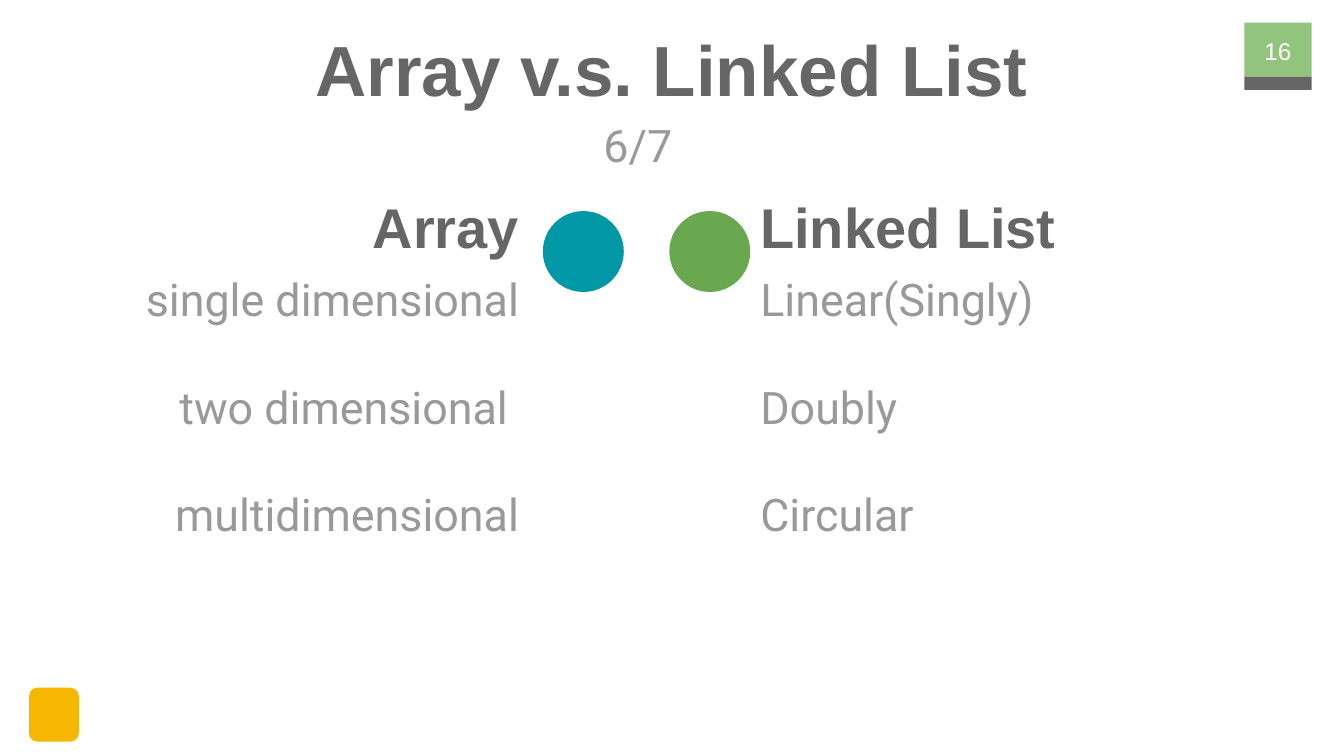
from pptx import Presentation
from pptx.dml.color import RGBColor
from pptx.enum.shapes import MSO_SHAPE as Preset
from pptx.enum.text import MSO_ANCHOR as Anchor, PP_ALIGN as Align
from pptx.util import Cm, Pt

WHITE = RGBColor(0xFF, 0xFF, 0xFF)
DARK_GREY = RGBColor(0x66, 0x66, 0x66)
LIGHT_GREY = RGBColor(0x99, 0x99, 0x99)
LIGHT_GREEN = RGBColor(0x93, 0xC4, 0x7D)
GREEN = RGBColor(0x6A, 0xA8, 0x4F)
TEAL = RGBColor(0x00, 0x97, 0xA7)
AMBER = RGBColor(0xF7, 0xB6, 0x00)

ITEM_GAP = Pt(29)
INSET = 0.25
HEADING_TOP, CIRCLE_TOP, ITEMS_TOP = 3.73, 3.99, 4.8
CIRCLE_SIZE = 1.53


def add_block(slide, preset, left, top, width, height, color):
    block = slide.shapes.add_shape(preset, Cm(left), Cm(top), Cm(width), Cm(height))
    block.shadow.inherit = False
    block.fill.solid()
    block.fill.fore_color.rgb = color
    block.line.fill.background()


def add_text(slide, box, lines, size, color, font="Arial", bold=False,
             align=Align.CENTER, anchor=Anchor.TOP, top_inset=0.33):
    """Add one paragraph per line; box is left, top, width, height in cm."""
    frame = slide.shapes.add_textbox(*(Cm(length) for length in box)).text_frame
    frame.word_wrap = True
    frame.vertical_anchor = anchor
    frame.margin_left = frame.margin_right = frame.margin_bottom = Cm(INSET)
    frame.margin_top = Cm(top_inset)
    for index, line in enumerate(lines):
        paragraph = frame.add_paragraph() if index else frame.paragraphs[0]
        paragraph.alignment = align
        if index:
            paragraph.space_before = ITEM_GAP
        run = paragraph.add_run()
        run.text = line
        run.font.size = Pt(size)
        run.font.name = font
        run.font.bold = bold
        run.font.color.rgb = color


def add_page_badge(slide, number):
    add_block(slide, Preset.RECTANGLE, 23.52, 0.43, 1.27, 1.02, LIGHT_GREEN)
    add_block(slide, Preset.RECTANGLE, 23.52, 1.45, 1.27, 0.25, DARK_GREY)
    add_text(slide, (23.39, 0.38, 1.52, 1.09), [number], 13, WHITE,
             anchor=Anchor.MIDDLE)


def add_column(slide, heading, heading_span, items, items_box, circle_left,
               color, align):
    """Spans are left and width; items_box is left, width and height."""
    left, width, height = items_box
    add_text(slide, (left, ITEMS_TOP, width, height), items, 24, LIGHT_GREY,
             font="Roboto", align=align)
    heading_left, heading_width = heading_span
    add_text(slide, (heading_left, HEADING_TOP, heading_width, 0.94), [heading],
             30, DARK_GREY, bold=True, align=align, anchor=Anchor.MIDDLE,
             top_inset=0.4)
    add_block(slide, Preset.OVAL, circle_left, CIRCLE_TOP, CIRCLE_SIZE,
              CIRCLE_SIZE, color)


def main():
    deck = Presentation()
    deck.slide_width, deck.slide_height = Cm(25.4), Cm(14.29)
    slide = deck.slides.add_slide(deck.slide_layouts[6])

    add_page_badge(slide, "16")
    add_block(slide, Preset.ROUNDED_RECTANGLE, 0.55, 13, 0.94, 1.02, AMBER)
    add_text(slide, (0.86, 0.1, 23.67, 1.6), ["Array v.s. Linked List"], 38,
             DARK_GREY, bold=True, top_inset=0.38)
    add_text(slide, (10.39, 1.9, 3.33, 1.6), ["6/7"], 24, LIGHT_GREY,
             font="Roboto")
    add_column(slide, "Array", (6.4, 3.66),
               ["single dimensional", "two dimensional ", "multidimensional"],
               (0.86, 9.2, 5.66), 10.26, TEAL, Align.RIGHT)
    add_column(slide, "Linked List", (14.12, 6.68),
               ["Linear(Singly)", "Doubly", "Circular"],
               (14.12, 9.98, 6.91), 12.65, GREEN, Align.LEFT)
    deck.save("out.pptx")


if __name__ == "__main__":
    main()
